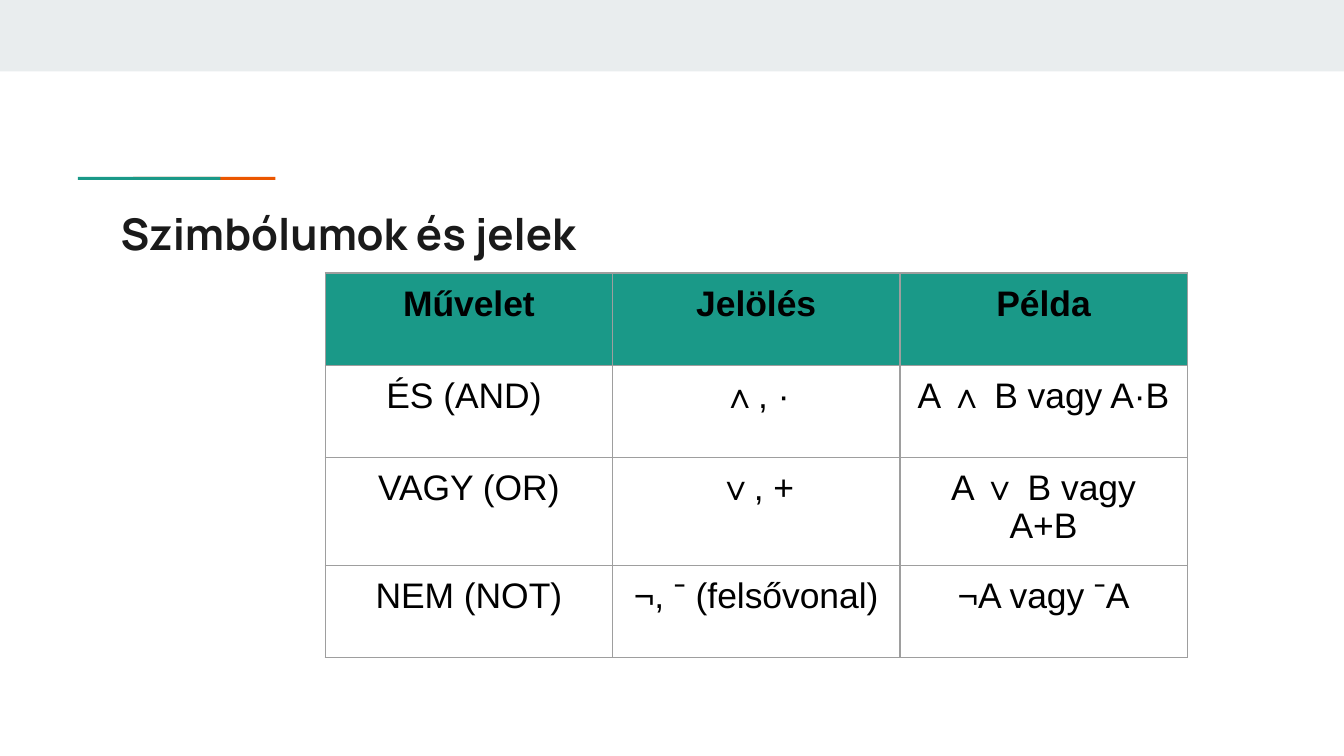
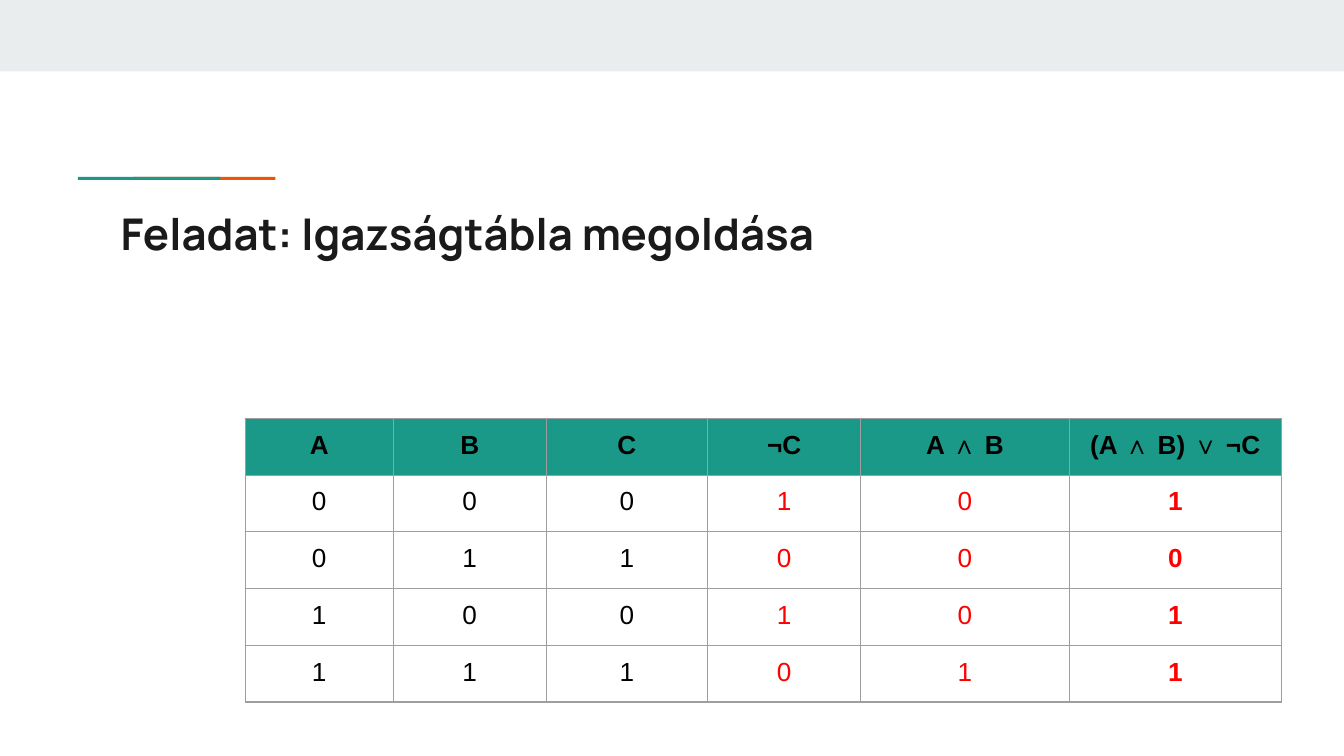
"""Builds two slides on logic symbols and a truth table."""
from lxml.etree import SubElement
from pptx import Presentation
from pptx.dml.color import RGBColor
from pptx.enum.shapes import MSO_SHAPE
from pptx.enum.text import PP_ALIGN
from pptx.oxml.ns import qn
from pptx.util import Inches, Pt

TEAL = RGBColor(0x1A, 0x99, 0x88)
ORANGE = RGBColor(0xEB, 0x56, 0x00)
BAND = RGBColor(0xE9, 0xED, 0xEE)
INK = RGBColor(0x1A, 0x1A, 0x1A)
BLACK = RGBColor(0x00, 0x00, 0x00)
RED = RGBColor(0xFF, 0x00, 0x00)
GREY = RGBColor(0x9E, 0x9E, 0x9E)

deck = Presentation()
deck.slide_width = Inches(10)
deck.slide_height = Inches(5.625)


def place(left, top, width, height):
    """Turns percent shares of the slide into lengths."""
    wide, high = deck.slide_width, deck.slide_height
    return [int(share * side / 100) for share, side in
            ((left, wide), (top, high), (width, wide), (height, high))]


def border(cell):
    """Draws a thin grey line on each side of a cell."""
    props = cell._tc.get_or_add_tcPr()
    for side in ("a:lnL", "a:lnR", "a:lnT", "a:lnB"):
        line = SubElement(props, qn(side), w=str(Pt(0.75)))
        fill = SubElement(line, qn("a:solidFill"))
        SubElement(fill, qn("a:srgbClr"), val=str(GREY))


BARS = [
    (BAND, (0, 0, 100, 9.46)),
    (ORANGE, (9.9, 23.4, 10.6, 0.4)),
    (TEAL, (5.8, 23.4, 10.6, 0.4)),
]

SIGNS = [
    ["Művelet", "Jelölés", "Példa"],
    ["ÉS (AND) ", "∧, ·", "A ∧ B vagy A·B"],
    ["VAGY (OR)", "∨, +", "A ∨ B vagy A+B"],
    ["NEM (NOT)", "¬, ˉ (felsővonal)", "¬A vagy ˉA"],
]

TRUTH = [
    ["A", "B", "C", "¬C", "A ∧ B", "(A ∧ B) ∨ ¬C"],
    *map(list, ("000101", "011000", "100101", "111011")),
]

PAGES = [
    dict(title="Szimbólumok és jelek", rows=SIGNS, left=24.2, top=36.1,
         widths=[21.38] * 3, height=12.2, size=19),
    dict(title="Feladat: Igazságtábla megoldása", rows=TRUTH, left=18.25, top=55.35,
         widths=[11, 11.4, 12, 11.4, 15.5, 15.8], height=5.7, size=14),
]

for page in PAGES:
    slide = deck.slides.add_slide(deck.slide_layouts[6])
    for color, share in BARS:
        bar = slide.shapes.add_shape(MSO_SHAPE.RECTANGLE, *place(*share))
        bar.shadow.inherit = False
        bar.fill.solid()
        bar.fill.fore_color.rgb = color
        bar.line.fill.background()

    frame = slide.shapes.add_textbox(*place(8, 25.6, 84.1, 10.5)).text_frame
    frame.word_wrap = True
    frame.margin_left = frame.margin_right = Inches(0.1)
    frame.margin_top = frame.margin_bottom = Inches(0.1)
    frame.text = page["title"]
    font = frame.paragraphs[0].runs[0].font
    font.name, font.size, font.bold = "Manrope", Pt(23.4), True
    font.color.rgb = INK

    rows, widths = page["rows"], page["widths"]
    area = place(page["left"], page["top"], sum(widths), page["height"] * len(rows))
    table = slide.shapes.add_table(len(rows), len(widths), *area).table
    table.horz_banding = False
    for column, width in zip(table.columns, widths):
        column.width = place(0, 0, width, 0)[2]
    for r, words in enumerate(rows):
        table.rows[r].height = place(0, 0, 0, page["height"])[3]
        for c, word in enumerate(words):
            cell = table.cell(r, c)
            cell.margin_left = cell.margin_right = Inches(0.11)
            cell.margin_top = cell.margin_bottom = Inches(0.1)
            border(cell)
            if r == 0:
                cell.fill.solid()
                cell.fill.fore_color.rgb = TEAL
            else:
                cell.fill.background()
            cell.text_frame.text = word
            para = cell.text_frame.paragraphs[0]
            para.alignment = PP_ALIGN.CENTER
            para.line_spacing = 0.95
            font = para.runs[0].font
            font.name, font.size = "Arial", Pt(page["size"])
            font.bold = r == 0 or c == 5
            font.color.rgb = RED if r > 0 and c >= 3 else BLACK

deck.save("out.pptx")
